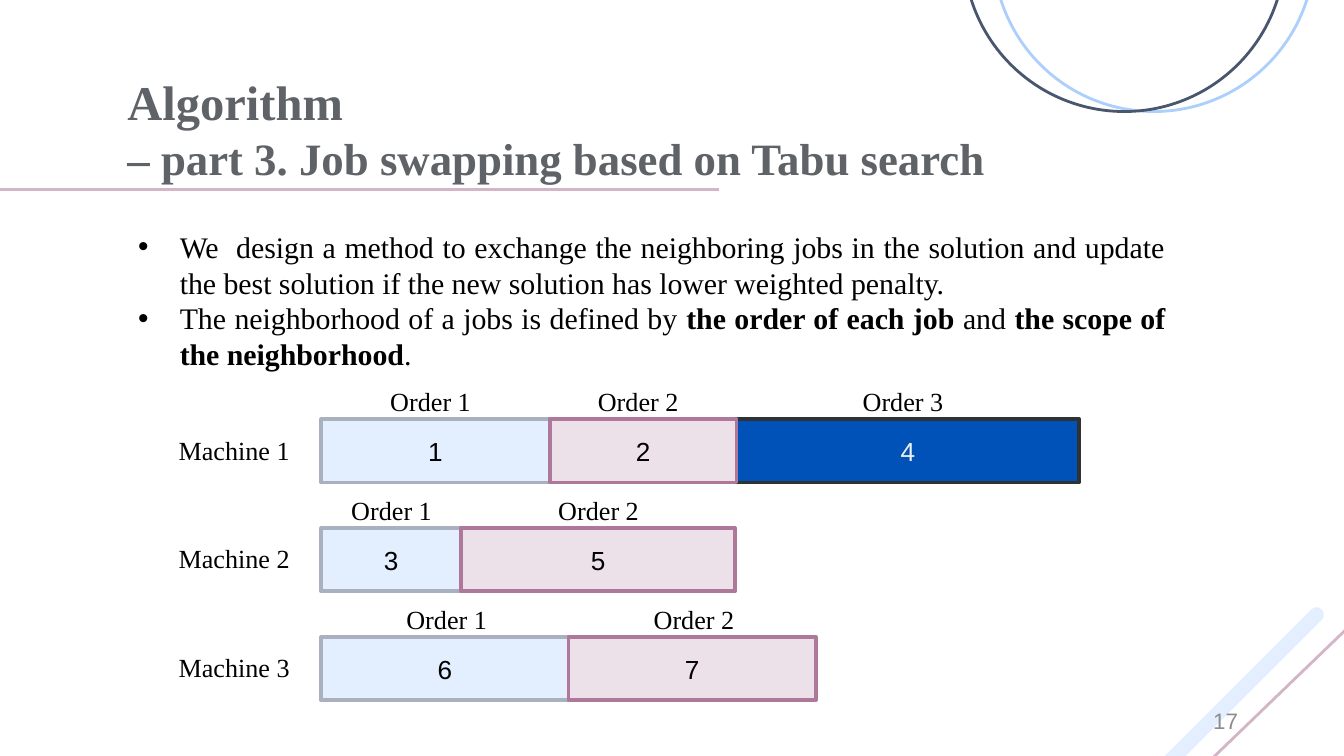
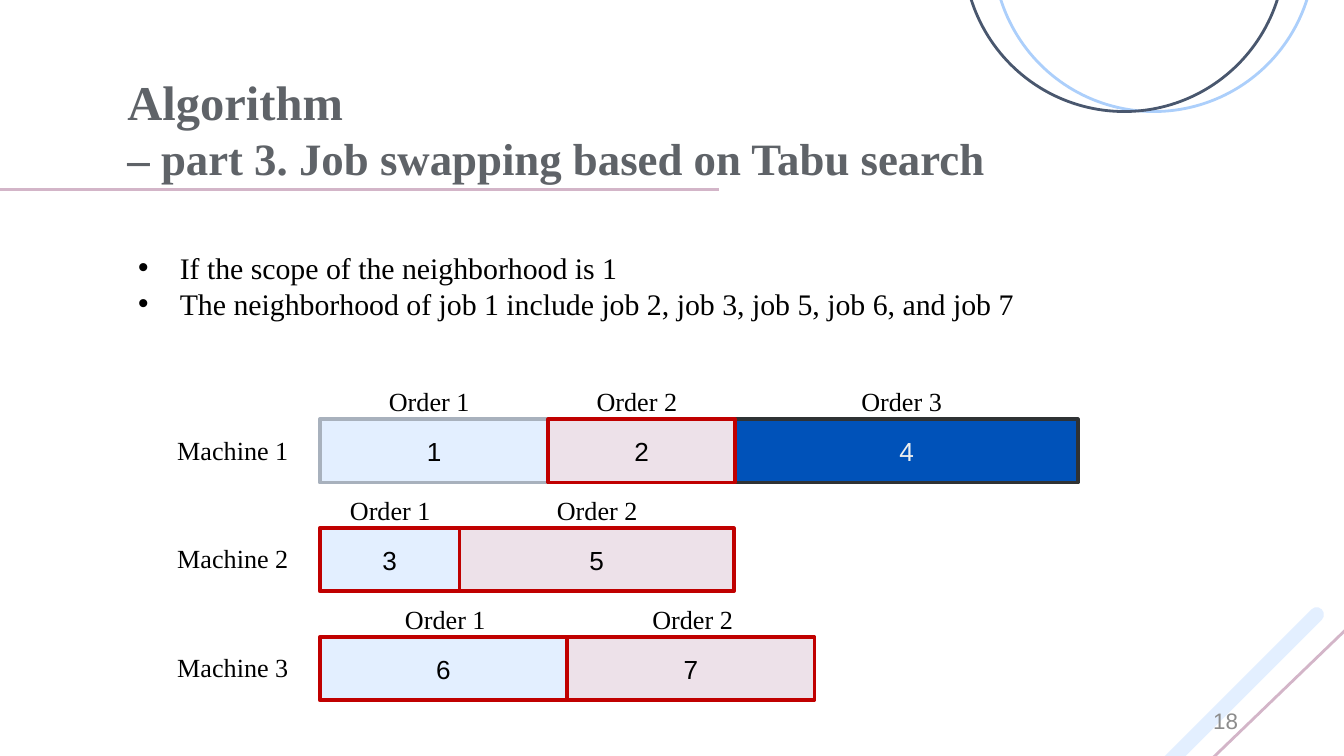
from lxml import etree
from pptx import Presentation
from pptx import util as u
from pptx.dml.color import RGBColor
from pptx.enum import shapes, text
from pptx.oxml.ns import qn

# Grid: 100 columns by 56.25 rows of square cells
CELL = u.Inches(0.1)
WIDE, HIGH = 100, 56.25

BLACK = RGBColor(0x00, 0x00, 0x00)
GRAY = RGBColor(0x5F, 0x63, 0x68)
PALE = RGBColor(0x8C, 0x8C, 0x8C)
WHITE = RGBColor(0xEE, 0xEE, 0xEE)
ICE = RGBColor(0xE3, 0xEF, 0xFF)
STEEL = RGBColor(0xA8, 0xB1, 0xBD)
BLUSH = RGBColor(0xED, 0xE1, 0xE9)
MAUVE = RGBColor(0xAE, 0x78, 0x9A)
PINK = RGBColor(0xD3, 0xB5, 0xC8)
BLUE = RGBColor(0x00, 0x52, 0xB9)
COAL = RGBColor(0x2F, 0x32, 0x34)
SKY = RGBColor(0xAC, 0xCF, 0xFB)
NAVY = RGBColor(0x49, 0x57, 0x6E)
RED = RGBColor(0xC0, 0x00, 0x00)

SERIF, SANS = "Times New Roman", "Arial"
ALIGN, ANCHOR, KIND = text.PP_ALIGN, text.MSO_ANCHOR, shapes.MSO_SHAPE

# Fill, line and font colour of the first, second and third job
JOBS = [(ICE, STEEL, BLACK), (BLUSH, MAUVE, BLACK), (BLUE, COAL, WHITE)]
STACK = [2, 0, 1]  # back to front

# Jobs and bar widths of each machine, and the shift of its order labels
PLAN = [
    ([("1", 17), ("2", 13.9), ("4", 25.5)], -0.3),
    ([("3", 10.4), ("5", 20.4)], 0.1),
    ([("6", 18.4), ("7", 18.4)], 0.2),
]
BAR_TOP, BAR_HIGH, ROW_STEP = 31.2, 4.7, 8.1
LABEL_HIGH = 3.4

TITLE = ("Algorithm", "– part 3. Job swapping based on Tabu search")


def grid(*cells):
    return [round(n * CELL) for n in cells]


def add_run(par, words, **form):
    run = par.add_run()
    run.text = words
    look = {"name": SERIF, "size": 14, "bold": False, "color": BLACK, **form}
    run.font.color.rgb = look.pop("color")
    look["size"] = u.Pt(look["size"])
    for key, val in look.items():
        setattr(run.font, key, val)


def add_box(slide, place, **form):
    frame = slide.shapes.add_textbox(*grid(*place)).text_frame
    for key, val in {"word_wrap": True, **form}.items():
        setattr(frame, key, val)
    return frame


def add_form(slide, kind, place, fill=None, line=None, width=1.5):
    shape = slide.shapes.add_shape(kind, *grid(*place))
    shape.shadow.inherit = False
    if fill is None:
        shape.fill.background()
    else:
        shape.fill.solid()
        shape.fill.fore_color.rgb = fill
    if line is None:
        shape.line.fill.background()
    else:
        shape.line.color.rgb = line
        shape.line.width = u.Pt(width)
    return shape


def add_line(slide, *ends):
    line = slide.shapes.add_connector(shapes.MSO_CONNECTOR.STRAIGHT, *grid(*ends))
    line.line.color.rgb = PINK
    line.line.width = u.Pt(1.5)
    etree.SubElement(line._element.spPr, qn("a:effectLst"))


def add_label(slide, words, left, top, wide):
    frame = add_box(slide, (left, top, wide, LABEL_HIGH), word_wrap=False)
    add_run(frame.paragraphs[0], words)


def add_decor(slide):
    add_form(slide, KIND.OVAL, (73.9, -15.6, 23.9, 23.9), line=SKY)
    band = add_form(slide, KIND.ROUND_2_SAME_RECTANGLE, (90.2, 42.2, 1.1, 21.5), ICE)
    band.rotation = 45
    band.adjustments[0] = 0.5
    add_line(slide, 83.8, 62.6, 106, 41.2)
    add_form(slide, KIND.OVAL, (71.7, -15.6, 23.9, 23.9), line=NAVY)
    add_line(slide, 53.5, 14.1, -4.9, 14.1)


def add_title(slide):
    pad = {f"margin_{side}": CELL for side in ("left", "top", "right", "bottom")}
    frame = add_box(slide, (8.5, 5.1, 81.4, 9.6),
                    vertical_anchor=ANCHOR.BOTTOM, **pad)
    par = frame.paragraphs[0]
    add_run(par, TITLE[0], size=26, bold=True, color=GRAY)
    par.add_line_break()
    add_run(par, TITLE[1], size=24, bold=True, color=GRAY)


def add_points(slide, top, high, points):
    """Each point is a list of texts, by turns plain and bold."""
    frame = add_box(slide, (9.3, top, 78.4, high))
    for i, parts in enumerate(points):
        par = frame.add_paragraph() if i else frame.paragraphs[0]
        par.alignment = ALIGN.JUSTIFY
        props = par._p.get_or_add_pPr()
        props.set("marL", str(u.Inches(0.31)))
        props.set("indent", str(-u.Inches(0.31)))
        etree.SubElement(props, qn("a:buFont")).set("typeface", SANS)
        etree.SubElement(props, qn("a:buChar")).set("char", "•")
        for j, words in enumerate(parts):
            add_run(par, words, size=16, bold=j % 2 == 1)


def add_number(slide, num):
    frame = add_box(slide, (70.6, 52.1, 22.5, 3), vertical_anchor=ANCHOR.MIDDLE)
    frame.paragraphs[0].alignment = ALIGN.RIGHT
    add_run(frame.paragraphs[0], str(num), name=SANS, size=12, color=PALE)


def add_bar(slide, job, place, look, near):
    fill, line, ink = look
    bar = add_form(slide, KIND.RECTANGLE, place, fill, RED if near else line, 2)
    frame = bar.text_frame
    frame.vertical_anchor = ANCHOR.MIDDLE
    frame.paragraphs[0].alignment = ALIGN.CENTER
    add_run(frame.paragraphs[0], job, name=SANS, color=ink)


def add_chart(slide, left, near):
    """Draw the machine schedule; the jobs in near get a red outline."""
    for row, (jobs, shift) in enumerate(PLAN):
        top = BAR_TOP + row * ROW_STEP
        add_label(slide, f"Machine {row + 1}", left - 11.6, top + 0.6, 10.9)
        starts = [left + sum(w for _, w in jobs[:i]) for i in range(len(jobs))]
        for i in STACK:
            if i < len(jobs):
                job, wide = jobs[i]
                add_bar(slide, job, (starts[i], top, wide, BAR_HIGH),
                        JOBS[i], job in near)
        for i, (job, wide) in enumerate(jobs):
            mid = starts[i] + wide / 2 + shift
            add_label(slide, f"Order {i + 1}", mid - 4.05, top - 3, 8.1)


def add_page(deck, num, top, high, points, left, near=""):
    slide = deck.slides.add_slide(deck.slide_layouts[6])
    add_decor(slide)
    add_title(slide)
    add_points(slide, top, high, points)
    add_number(slide, num)
    add_chart(slide, left, near)


def main():
    deck = Presentation()
    deck.slide_width, deck.slide_height = grid(WIDE, HIGH)

    # Method
    add_page(deck, 17, 16.5, 11.8, [
        ["We  design a method to exchange the neighboring jobs in the solution "
         "and update the best solution if the new solution has lower weighted "
         "penalty."],
        ["The neighborhood of a jobs is defined by ", "the order of each job ",
         "and ", "the scope of the neighborhood", "."],
    ], left=23.9)

    # Neighbors of job 1
    add_page(deck, 18, 18.1, 6.4, [
        ["If the scope of the neighborhood is 1"],
        ["The neighborhood of job 1 include job 2, job 3, job 5, job 6, and job 7"],
    ], left=23.8, near="23567")

    deck.save("out.pptx")


if __name__ == "__main__":
    main()
